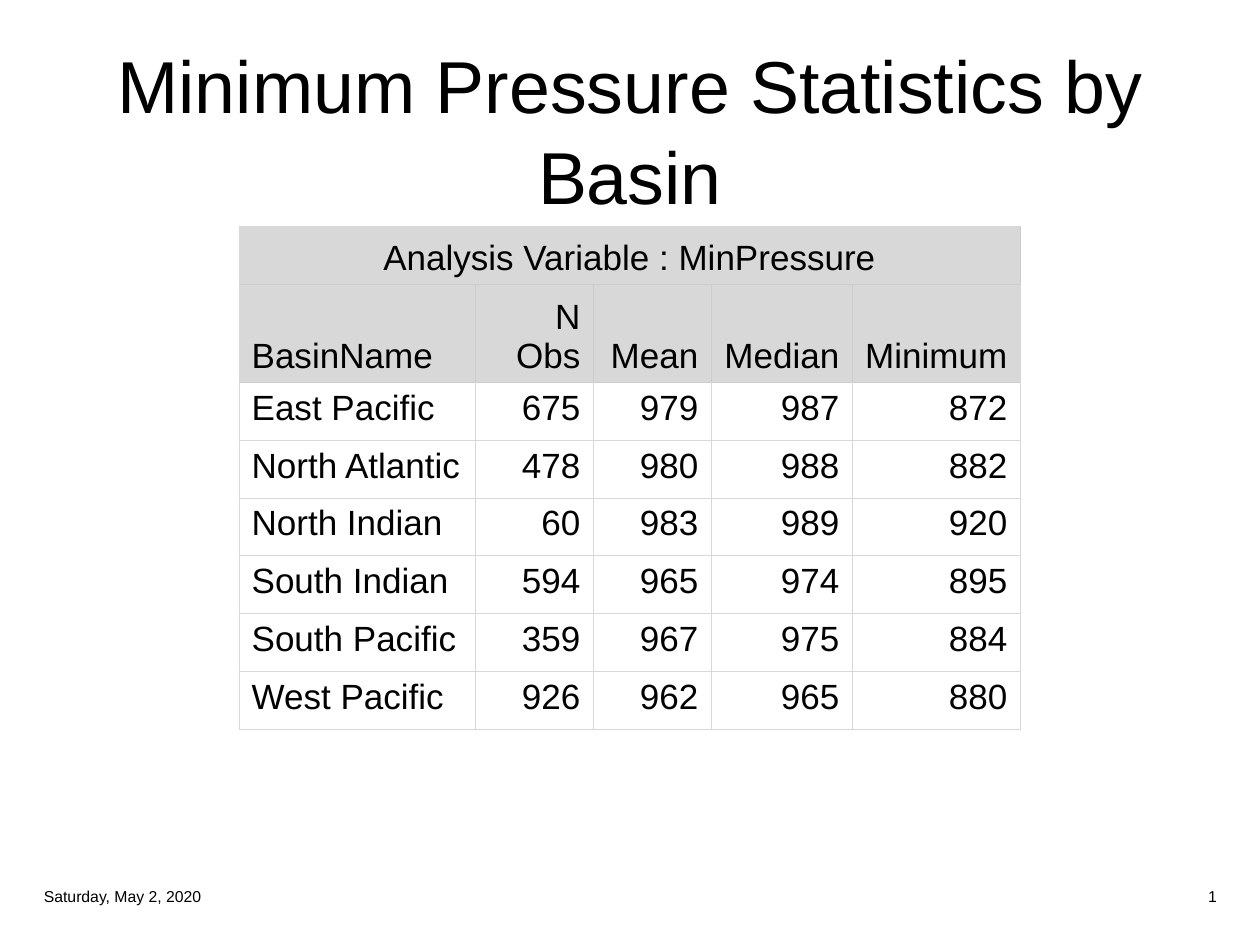
"""Build a slide with a table of minimum pressure statistics by basin."""
from lxml import etree
from pptx import Presentation
from pptx.dml.color import RGBColor
from pptx.enum.text import MSO_ANCHOR, PP_ALIGN
from pptx.oxml.ns import qn
from pptx.util import Pt

LEFT, CENTER, RIGHT = PP_ALIGN.LEFT, PP_ALIGN.CENTER, PP_ALIGN.RIGHT
TOP, MIDDLE, BOTTOM = MSO_ANCHOR.TOP, MSO_ANCHOR.MIDDLE, MSO_ANCHOR.BOTTOM
COLORS = {"text": "000000", "header": "D8D8D8", "grid": "D8D8D8",
          "header_grid": "CCCCCC", "body": "FFFFFF"}


class SlideBuilder:
    font = "Arial"
    table_size = 20
    border_width = 0.5

    def __init__(self, page):
        self.page = page

    def style(self, frame, size, align):
        for para in frame.paragraphs:
            para.alignment = align
            for span in para.runs:
                span.font.name = self.font
                span.font.size = Pt(size)
                span.font.color.rgb = RGBColor.from_string(COLORS["text"])

    def text(self, words, left, top, width, height, size, align):
        box = self.page.shapes.add_textbox(Pt(left), Pt(top), Pt(width), Pt(height))
        frame = box.text_frame
        frame.word_wrap = True
        frame.vertical_anchor = MIDDLE
        frame.text = words
        self.style(frame, size, align)
        return frame

    def border(self, cell, edges):
        properties = cell._tc.get_or_add_tcPr()
        for index, (side, color) in enumerate(edges.items()):
            line = etree.Element(qn(f"a:ln{side}"), w=str(Pt(self.border_width)))
            fill = etree.SubElement(line, qn("a:solidFill"))
            etree.SubElement(fill, qn("a:srgbClr"), val=COLORS[color])
            properties.insert(index, line)

    def cell(self, cell, words, align, anchor, fill, edges):
        cell.text_frame.text = words
        self.style(cell.text_frame, self.table_size, align)
        cell.vertical_anchor = anchor
        cell.fill.solid()
        cell.fill.fore_color.rgb = RGBColor.from_string(COLORS[fill])
        self.border(cell, edges)

    def table(self, title, rows, left, top, widths, heights):
        shape = self.page.shapes.add_table(len(heights), len(widths), Pt(left), Pt(top),
                                           Pt(sum(widths)), Pt(sum(heights)))
        table = shape.table
        table.first_row = table.horz_banding = False
        for column, width in zip(table.columns, widths):
            column.width = Pt(width)
        for row, height in zip(table.rows, heights):
            row.height = Pt(height)
        last = len(widths) - 1
        table.cell(0, 0).merge(table.cell(0, last))
        title_row = [title] + [""] * last
        for i, values in enumerate([title_row] + rows):
            header = i < 2
            for j, words in enumerate(values):
                align = CENTER if i == 0 else RIGHT if j else LEFT
                inner = "header_grid" if header else "grid"
                edges = {"L": inner if j else "grid",
                         "R": "grid" if i and j == last else inner,
                         "T": "header_grid" if i in (1, 2) else "grid",
                         "B": inner}
                self.cell(table.cell(i, j), words, align, BOTTOM if header else TOP,
                          "header" if header else "body", edges)


BASINS = [
    ["BasinName", "N\vObs", "Mean", "Median", "Minimum"],
    ["East Pacific", "675", "979", "987", "872"],
    ["North Atlantic", "478", "980", "988", "882"],
    ["North Indian", "60", "983", "989", "920"],
    ["South Indian", "594", "965", "974", "895"],
    ["South Pacific", "359", "967", "975", "884"],
    ["West Pacific", "926", "962", "965", "880"],
]

deck = Presentation()
deck.slide_width, deck.slide_height = Pt(720), Pt(540)
builder = SlideBuilder(deck.slides.add_slide(deck.slide_layouts[6]))

title = builder.text("Minimum Pressure Statistics by\vBasin", 18, 18, 684, 106.5, 42, CENTER)
title.margin_top = Pt(7)
title.paragraphs[0].line_spacing = 1.04

builder.table("Analysis Variable : MinPressure", BASINS, 136.6, 129.3,
              [134.9, 67.4, 67.4, 80.6, 96], [33.05, 56.2] + [33.05] * 6)

for words, left, align in (("Saturday, May 2, 2020", 18, LEFT), ("1", 531.2, RIGHT)):
    builder.text(words, left, 502, 171.2, 20, 9, align)

deck.save("out.pptx")
